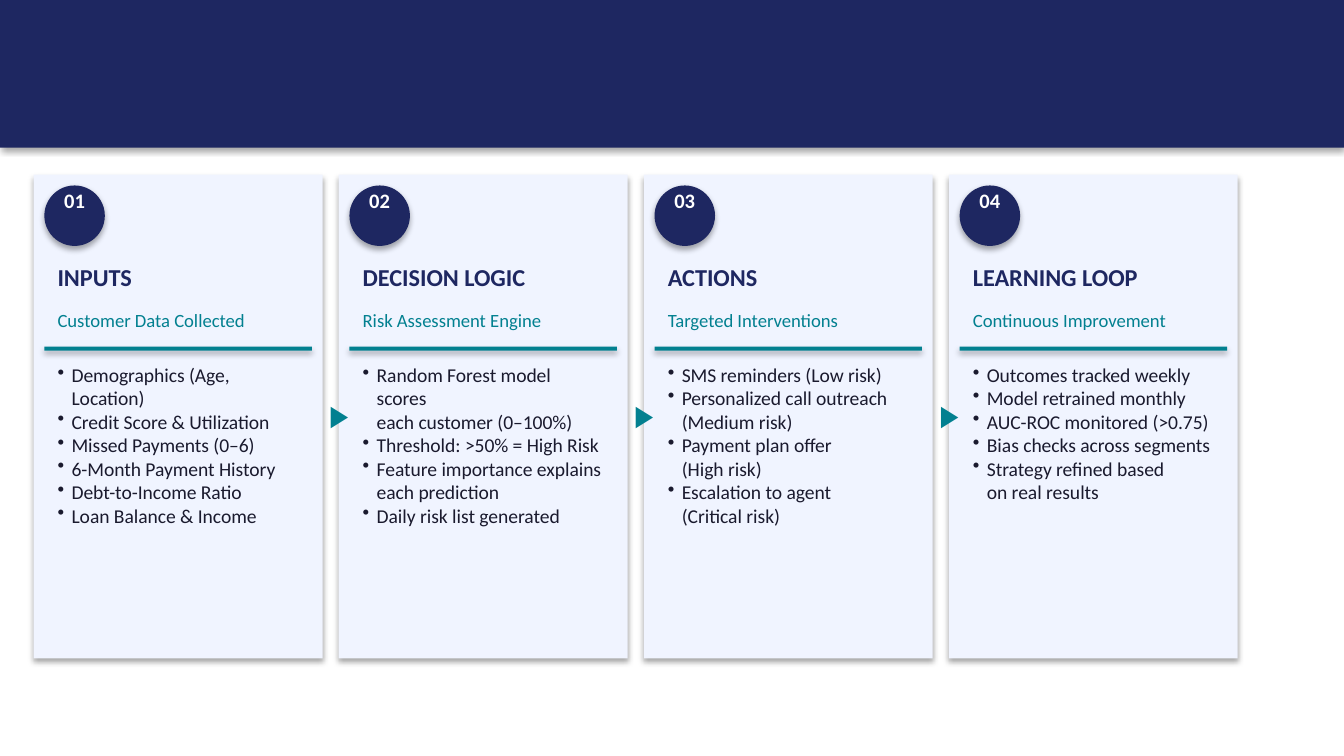
"""Build a slide of four process cards joined by arrows under a navy band."""
from copy import deepcopy
from dataclasses import dataclass

from lxml.etree import SubElement
from pptx import Presentation
from pptx.dml.color import RGBColor
from pptx.enum.shapes import MSO_SHAPE as Shape
from pptx.enum.text import MSO_AUTO_SIZE as AutoSize, PP_ALIGN as Align
from pptx.oxml.ns import qn
from pptx.util import Pt


@dataclass(frozen=True)
class Theme:
    font: str = "Calibri"
    navy: str = "1E2761"
    teal: str = "028090"
    card: str = "F0F4FF"
    ink: str = "1A1A2E"
    white: str = "FFFFFF"
    number_size: float = 11
    heading_size: float = 13
    subtitle_size: float = 10
    body_size: float = 10.5
    arrow_size: float = 16


theme = Theme()
presentation = Presentation()
presentation.slide_width, presentation.slide_height = Pt(720), Pt(405)
slide = presentation.slides.add_slide(presentation.slide_layouts[6])


def add_block(kind, left, top, width, height, color):
    block = slide.shapes.add_shape(kind, Pt(left), Pt(top), Pt(width), Pt(height))
    block.fill.solid()
    block.fill.fore_color.rgb = RGBColor.from_string(color)
    block.line.fill.background()


def add_text(text, *, left, top, width, height, size, color,
             bold=False, align=Align.LEFT, bullet_indent=0):
    box = slide.shapes.add_textbox(Pt(left), Pt(top), Pt(width), Pt(height))
    frame = box.text_frame
    frame.word_wrap = True
    frame.auto_size = AutoSize.SHAPE_TO_FIT_TEXT
    frame.text = text
    for paragraph in frame.paragraphs:
        paragraph.alignment = align
        if bullet_indent:
            properties = paragraph._p.get_or_add_pPr()
            properties.set("marL", str(Pt(bullet_indent)))
            properties.set("indent", str(-Pt(bullet_indent)))
            SubElement(properties, qn("a:buChar"), char="•")
        for run in paragraph.runs:
            run.font.name = theme.font
            run.font.size = Pt(size)
            run.font.bold = bold
            run.font.color.rgb = RGBColor.from_string(color)
        for line_break in paragraph._p.findall(qn("a:br")):
            line_break.append(deepcopy(paragraph.runs[0]._r.rPr))


stages = [
    ("INPUTS", "Customer Data Collected", [
        "Demographics (Age, Location)",
        "Credit Score & Utilization",
        "Missed Payments (0–6)",
        "6-Month Payment History",
        "Debt-to-Income Ratio",
        "Loan Balance & Income",
    ]),
    ("DECISION LOGIC", "Risk Assessment Engine", [
        "Random Forest model scores\veach customer (0–100%)",
        "Threshold: >50% = High Risk",
        "Feature importance explains\veach prediction",
        "Daily risk list generated",
    ]),
    ("ACTIONS", "Targeted Interventions", [
        "SMS reminders (Low risk)",
        "Personalized call outreach\v(Medium risk)",
        "Payment plan offer\v(High risk)",
        "Escalation to agent\v(Critical risk)",
    ]),
    ("LEARNING LOOP", "Continuous Improvement", [
        "Outcomes tracked weekly",
        "Model retrained monthly",
        "AUC-ROC monitored (>0.75)",
        "Bias checks across segments",
        "Strategy refined based\von real results",
    ]),
]

first_left, card_width, pitch = 18, 154.8, 163.44
padding = 5.76
content_width = card_width - 2 * padding
badge_size = 32.4

add_block(Shape.RECTANGLE, 0, 0, 720, 79.2, theme.navy)

for index, (heading, subtitle, points) in enumerate(stages):
    card_left = first_left + index * pitch
    content_left = card_left + padding
    add_block(Shape.RECTANGLE, card_left, 93.6, card_width, 259.2, theme.card)
    add_block(Shape.OVAL, content_left, 99.36, badge_size, badge_size, theme.navy)
    add_text(f"{index + 1:02}", left=content_left, top=97.2, width=badge_size, height=28.8,
             size=theme.number_size, color=theme.white, bold=True, align=Align.CENTER)
    add_text(heading, left=content_left, top=136.8, width=content_width, height=28.8,
             size=theme.heading_size, color=theme.navy, bold=True)
    add_text(subtitle, left=content_left, top=162, width=content_width, height=25.2,
             size=theme.subtitle_size, color=theme.teal)
    add_block(Shape.RECTANGLE, content_left, 185.76, content_width, 2.16, theme.teal)
    add_text("\n".join(points), left=content_left, top=190.8, width=content_width, height=151.2,
             size=theme.body_size, color=theme.ink, bullet_indent=7.5)

for index in range(len(stages) - 1):
    add_text("▶", left=first_left + index * pitch + 151.2, top=208.8, width=15.84, height=28.8,
             size=theme.arrow_size, color=theme.teal, align=Align.CENTER)

presentation.save("out.pptx")
